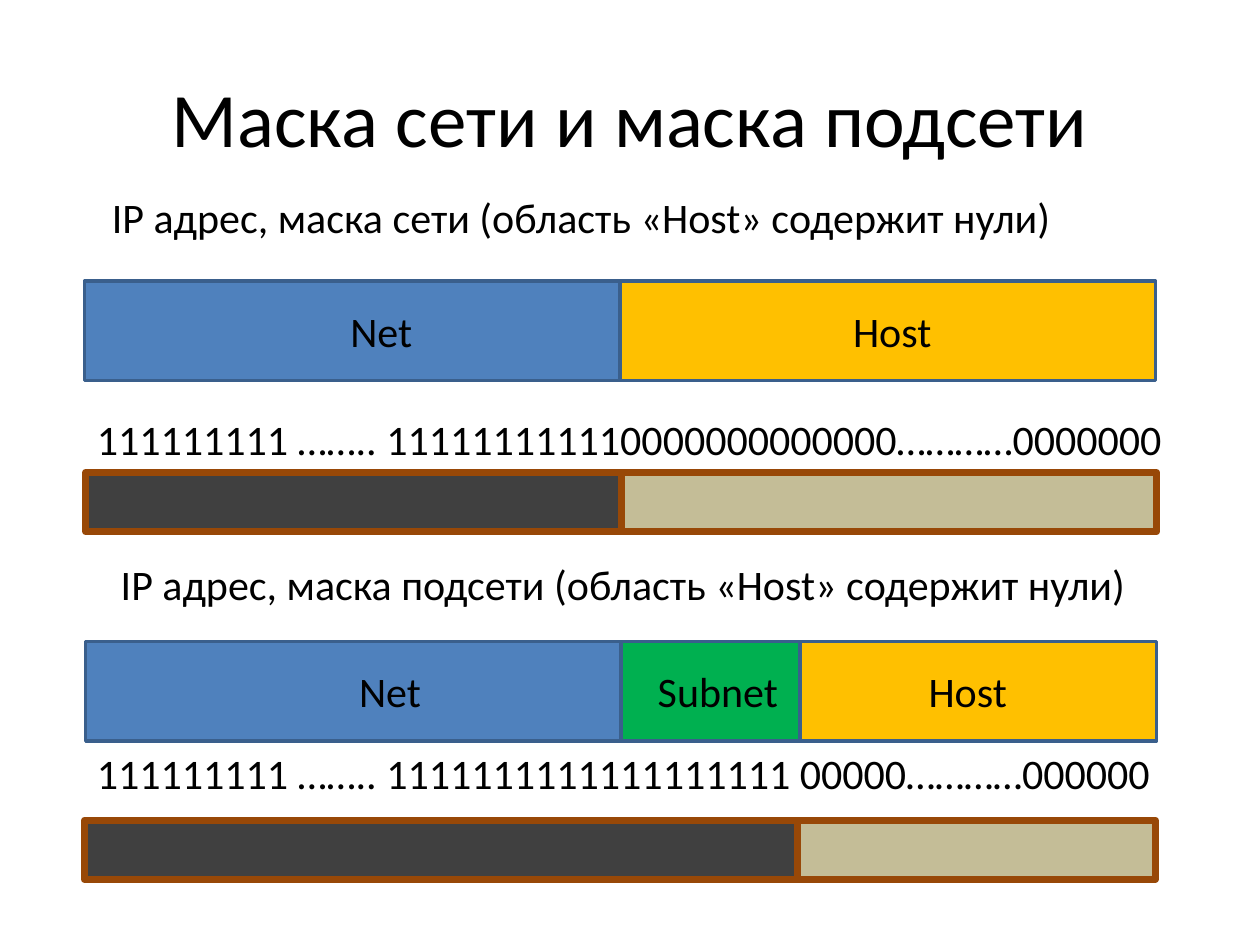
"""Build a slide comparing a network mask with a subnet mask."""
from typing import NamedTuple

from pptx import Presentation
from pptx import util as u
from pptx.dml.color import RGBColor
from pptx.enum import shapes, text

BLACK = RGBColor(0x00, 0x00, 0x00)
BLUE = RGBColor(0x4F, 0x81, 0xBD)
AMBER = RGBColor(0xFF, 0xC0, 0x00)
GREEN = RGBColor(0x00, 0xB0, 0x50)
CHARCOAL = RGBColor(0x40, 0x40, 0x40)
SAND = RGBColor(0xC4, 0xBD, 0x97)
NAVY = RGBColor(0x3A, 0x5F, 0x8C)
BROWN = RGBColor(0x98, 0x48, 0x07)


class Segment(NamedTuple):
    width: float
    fill: RGBColor
    label: str = ""
    label_left: float = 0


class Bar(NamedTuple):
    left: float
    top: float
    height: float
    line: RGBColor
    line_width: float
    segments: list[Segment]


class Caption(NamedTuple):
    left: float
    top: float
    width: float
    words: str


BARS = [
    Bar(0.67, 2.23, 0.79, NAVY, 2, [
        Segment(4.25, BLUE, "Net", 2.11),
        Segment(4.25, AMBER, "Host", 1.85),
    ]),
    Bar(0.68, 5.09, 0.79, NAVY, 2, [
        Segment(4.25, BLUE, "Net", 2.17),
        Segment(1.42, GREEN, "Subnet", 0.29),
        Segment(2.83, AMBER, "Host", 1.02),
    ]),
    Bar(0.68, 3.75, 0.47, BROWN, 4, [Segment(4.25, CHARCOAL), Segment(4.25, SAND)]),
    Bar(0.67, 6.51, 0.47, BROWN, 4, [Segment(5.66, CHARCOAL), Segment(2.84, SAND)]),
]

CAPTIONS = [
    Caption(0.79, 1.47, 8.14, "IP адрес, маска сети (область «Host» содержит нули)"),
    Caption(0.67, 3.23, 8.74, "111111111 …….. 111111111110000000000000…………0000000"),
    Caption(0.86, 4.38, 8.32, "IP адрес, маска подсети (область «Host» содержит нули)"),
    Caption(0.67, 5.88, 8.9, "111111111 …….. 1111111111111111111 00000…………000000"),
]


def add_words(para, words: str, size: float = 24) -> None:
    span = para.add_run()
    span.text = words
    span.font.name = "Calibri"
    span.font.size = u.Pt(size)
    span.font.color.rgb = BLACK


def draw_bar(page, bar: Bar) -> None:
    left = bar.left
    for segment in bar.segments:
        box = page.shapes.add_shape(
            shapes.MSO_SHAPE.RECTANGLE, u.Inches(left), u.Inches(bar.top),
            u.Inches(segment.width), u.Inches(bar.height))
        box.shadow.inherit = False
        box.fill.solid()
        box.fill.fore_color.rgb = segment.fill
        box.line.color.rgb = bar.line
        box.line.width = u.Pt(bar.line_width)
        if segment.label:
            frame = box.text_frame
            frame.margin_left = u.Inches(segment.label_left)
            frame.margin_right = 0
            frame.vertical_anchor = text.MSO_ANCHOR.MIDDLE
            para = frame.paragraphs[0]
            para.alignment = text.PP_ALIGN.LEFT
            add_words(para, segment.label)
        left += segment.width


def draw_caption(page, caption: Caption) -> None:
    box = page.shapes.add_textbox(
        u.Inches(caption.left), u.Inches(caption.top),
        u.Inches(caption.width), u.Inches(0.5))
    box.text_frame.word_wrap = True
    add_words(box.text_frame.paragraphs[0], caption.words)


def draw_title(page, words: str) -> None:
    title = page.shapes.title
    title.left, title.top = u.Inches(0.5), u.Inches(0.3)
    title.width, title.height = u.Inches(9), u.Inches(1.25)
    title.text_frame.vertical_anchor = text.MSO_ANCHOR.MIDDLE
    para = title.text_frame.paragraphs[0]
    para.alignment = text.PP_ALIGN.CENTER
    add_words(para, words, 44)


def main() -> None:
    deck = Presentation()
    deck.slide_width, deck.slide_height = u.Inches(10), u.Inches(7.5)
    page = deck.slides.add_slide(deck.slide_layouts.get_by_name("Title Only"))
    draw_title(page, "Маска сети и маска подсети")
    for bar in BARS:
        draw_bar(page, bar)
    for caption in CAPTIONS:
        draw_caption(page, caption)
    deck.save("out.pptx")


if __name__ == "__main__":
    main()
